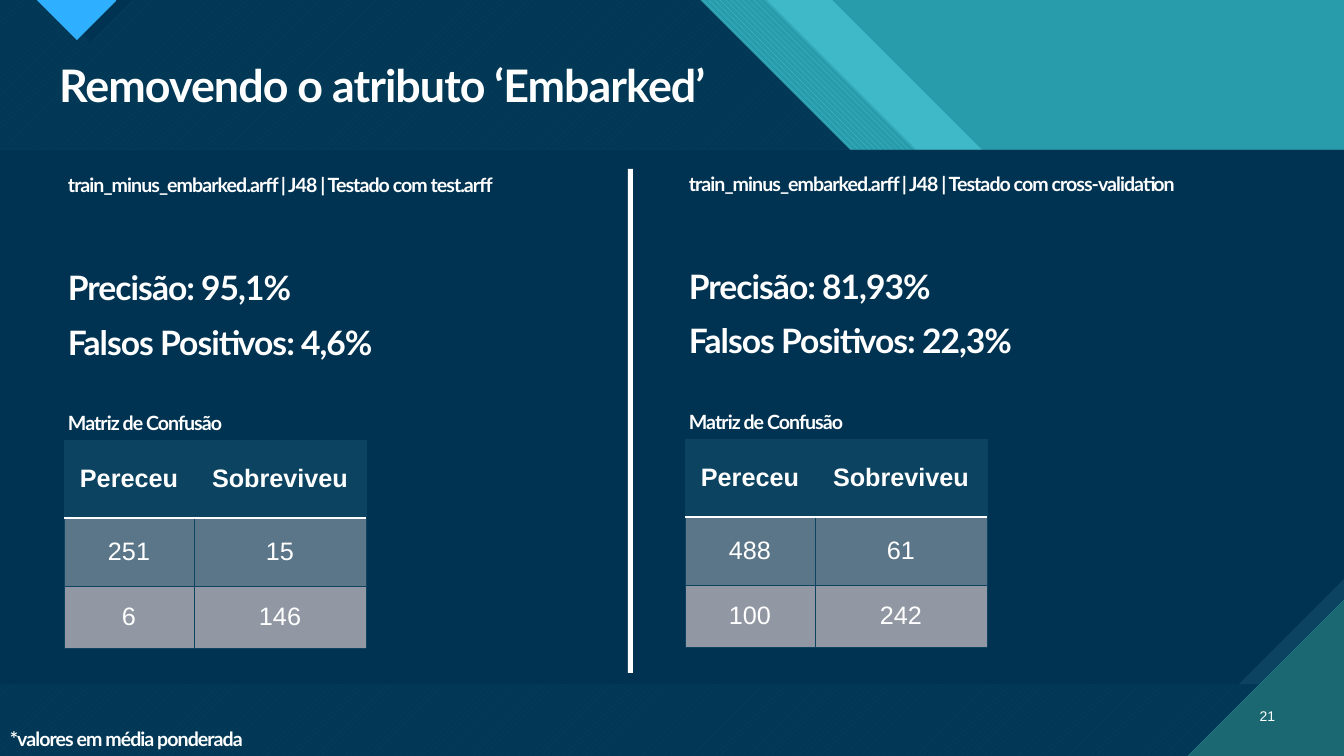
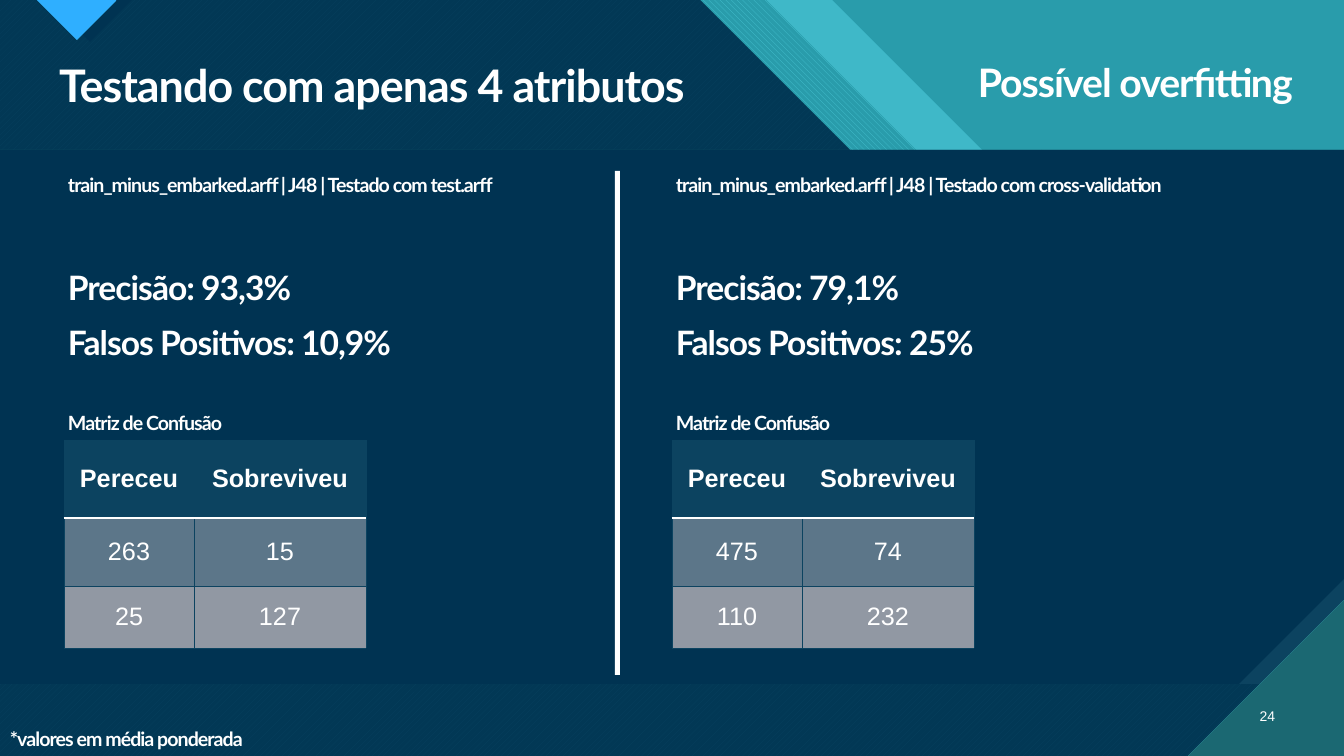
import dataclasses

import lxml.etree
import pptx
import pptx.dml.color
import pptx.enum.dml
import pptx.enum.shapes
import pptx.enum.text
import pptx.oxml.ns
import pptx.util

ALIGN = pptx.enum.text.PP_ALIGN
ANCHOR = pptx.enum.text.MSO_ANCHOR
PATTERN = pptx.enum.dml.MSO_PATTERN
qn = pptx.oxml.ns.qn
EMU_PER_PX = 914400 / 100.8


def px(length):
    return pptx.util.Emu(round(length * EMU_PER_PX))


def rgb(code):
    return pptx.dml.color.RGBColor.from_string(code)


@dataclasses.dataclass(frozen=True)
class Theme:
    # Colours
    white: str = "FFFFFF"
    navy: str = "003352"
    steel: str = "0C4360"
    teal: str = "299CAB"
    aqua: str = "47C3D3"
    pine: str = "1B6872"
    blue: str = "2FAFFF"
    row_fills: tuple = ("0C4360", "5C7689", "9198A3")
    # Type: size, font, bold, letter spacing in hundredths of a point
    title: tuple = (32, "Lato", True, -70)
    remark: tuple = (28, "Lato", True, -70)
    figure: tuple = (24, "Lato", True, -70)
    label: tuple = (14, "Lato", True, -70)
    head: tuple = (18, "Arial", True, 0)
    value: tuple = (18, "Arial", False, 0)
    number: tuple = (10, "Arial", False, 0)


THEME = Theme()
WIDTH, HEIGHT = 1344, 756


# Text
def write(frame, text, style, align=ALIGN.LEFT, spacing=0.9):
    size, name, bold, tracking = style
    para = frame.paragraphs[0]
    para.alignment = align
    para.line_spacing = spacing
    span = para.add_run()
    span.text = text
    values = {"size": pptx.util.Pt(size), "name": name, "bold": bold}
    for key, value in values.items():
        setattr(span.font, key, value)
    span.font.color.rgb = rgb(THEME.white)
    if tracking:
        span.font._element.set("spc", str(tracking))


def fit_frame(frame, anchor=ANCHOR.TOP):
    values = {"word_wrap": True, "vertical_anchor": anchor,
              "auto_size": pptx.enum.text.MSO_AUTO_SIZE.NONE}
    for key, value in values.items():
        setattr(frame, key, value)


def add_text(page, box, text, style, align=ALIGN.LEFT, anchor=ANCHOR.TOP):
    frame = page.shapes.add_textbox(*map(px, box)).text_frame
    fit_frame(frame, anchor)
    write(frame, text, style, align)


# Shapes
def paint(shape, color, pattern=None, ground=None, opacity=None):
    shape.shadow.inherit = False
    shape.line.fill.background()
    if pattern is None:
        shape.fill.solid()
    else:
        shape.fill.patterned()
        shape.fill.pattern = pattern
        shape.fill.back_color.rgb = rgb(ground)
    shape.fill.fore_color.rgb = rgb(color)
    if opacity:
        tint = shape.element.find(".//" + qn("a:srgbClr"))
        lxml.etree.SubElement(tint, qn("a:alpha")).set("val", str(opacity * 1000))


def add_outline(page, points, **look):
    builder = page.shapes.build_freeform(*points[0], scale=EMU_PER_PX)
    builder.add_line_segments(points[1:], close=True)
    shape = builder.convert_to_shape()
    paint(shape, **look)
    return shape


def add_block(page, box, **look):
    kind = pptx.enum.shapes.MSO_SHAPE.RECTANGLE
    shape = page.shapes.add_shape(kind, *map(px, box))
    paint(shape, **look)
    return shape


# Backdrop shared by every slide
def slope(edge):
    """Area left of a 45 degree edge that starts at the top of the page."""
    step = edge + 427
    return [(0, 0), (edge, 0), (edge + 300, 300), (step, 300),
            (WIDTH, 300 + WIDTH - step), (WIDTH, HEIGHT), (0, HEIGHT)]


def wedge(left, depth):
    return [(left, 0), (left + depth, depth), (left + 2 * depth, 0)]


def prepare_layout(layout, page):
    title_kind = pptx.enum.shapes.PP_PLACEHOLDER.TITLE
    for holder in list(layout.placeholders):
        if holder.placeholder_format.type != title_kind:
            layout.shapes.element.remove(holder.element)
    layout.background.fill.solid()
    layout.background.fill.fore_color.rgb = rgb(THEME.teal)

    top, bottom, snip, corner = 150, 684, 105, 156
    panel = [(0, top), (WIDTH, top), (WIDTH, bottom - snip),
             (WIDTH - snip, bottom), (0, bottom)]
    fold = [(WIDTH - corner, HEIGHT), (WIDTH, HEIGHT), (WIDTH, HEIGHT - corner)]
    parts = [
        # Slanted bands
        add_outline(page, slope(832), color=THEME.aqua, opacity=74),
        add_outline(page, slope(766), color=THEME.aqua, ground=THEME.teal,
                    pattern=PATTERN.WIDE_DOWNWARD_DIAGONAL),
        add_outline(page, slope(700), color=THEME.aqua, ground=THEME.pine,
                    pattern=PATTERN.WIDE_UPWARD_DIAGONAL),
        add_outline(page, slope(700), color=THEME.navy, opacity=90),
        # Marker at the top
        add_outline(page, wedge(48, 42), color=THEME.navy),
        add_outline(page, wedge(37, 40), color=THEME.blue, ground=THEME.pine,
                    pattern=PATTERN.DARK_HORIZONTAL),
        # Content panel and folded corner
        add_block(page, (0, top, WIDTH, bottom - top), color=THEME.steel,
                  ground=THEME.pine, pattern=PATTERN.DARK_VERTICAL),
        add_outline(page, panel, color=THEME.navy),
        add_outline(page, fold, color=THEME.pine, ground=THEME.aqua,
                    pattern=PATTERN.DARK_HORIZONTAL),
    ]
    for part in parts:
        layout.shapes.element.append(part.element)


# Confusion matrix
def add_border(properties, index, side, color, points):
    line = lxml.etree.Element(qn("a:" + side), w=str(pptx.util.Pt(points)))
    fill = lxml.etree.SubElement(line, qn("a:solidFill"))
    lxml.etree.SubElement(fill, qn("a:srgbClr")).set("val", color)
    properties.insert(index, line)


def add_matrix(page, left, top, counts):
    rows = [("Pereceu", "Sobreviveu"), *counts]
    widths, heights = (130, 172), (78, 68, 62)
    box = (left, top, sum(widths), sum(heights))
    frame = page.shapes.add_table(len(rows), len(widths), *map(px, box))
    table = frame.table
    table.horz_banding = False
    for column, width in zip(table.columns, widths):
        column.width = px(width)
    for index, (row, height, texts) in enumerate(zip(table.rows, heights, rows)):
        row.height = px(height)
        for cell, text in zip(row.cells, texts):
            cell.vertical_anchor = ANCHOR.MIDDLE
            cell.fill.solid()
            cell.fill.fore_color.rgb = rgb(THEME.row_fills[index])
            style = THEME.value if index else THEME.head
            write(cell.text_frame, str(text), style, ALIGN.CENTER, 1.0)
    # White rule under the header, thin steel lines elsewhere
    thin, rule = (THEME.steel, 0.5), (THEME.white, 1)
    for index, row in enumerate(frame.element.iter(qn("a:tr"))):
        sides = {"lnL": thin, "lnR": thin, "lnT": rule if index == 1 else thin,
                 "lnB": thin if index else rule}
        for properties in row.iter(qn("a:tcPr")):
            for place, (side, look) in enumerate(sides.items()):
                add_border(properties, place, side, *look)


# One test result, placed from its top left corner
def add_result(page, left, top, result):
    source, precision, false_positives, counts = result
    lines = [
        (0, 31, f"train_minus_embarked.arff | J48 | Testado com {source}", THEME.label),
        (95, 46, f"Precisão: {precision}", THEME.figure),
        (150, 46, f"Falsos Positivos: {false_positives}", THEME.figure),
        (238, 31, "Matriz de Confusão", THEME.label),
    ]
    for offset, height, text, style in lines:
        add_text(page, (left, top + offset, 605, height), text, style)
    add_matrix(page, left + 6, top + 269, counts)


def build_comparison(page, content):
    # Title and side remark
    title = page.shapes.title
    for key, value in zip(("left", "top", "width", "height"), (49, 59, 1236, 60)):
        setattr(title, key, px(value))
    fit_frame(title.text_frame)
    write(title.text_frame, content["title"], THEME.title)
    if "remark" in content:
        add_text(page, (968, 59, 371, 53), content["remark"], THEME.remark)
    # Results on both sides of the divider
    add_block(page, (*content["divider"], 5, 504), color=THEME.white)
    for corner, result in zip(content["corners"], content["results"]):
        add_result(page, *corner, result)
    # Footer
    add_text(page, (0, 725, 467, 31), "*valores em média ponderada", THEME.label)
    add_text(page, (1241, 697, 44, 40), content["number"], THEME.number,
             ALIGN.RIGHT, ANCHOR.MIDDLE)


SLIDES = [
    {"title": "Removendo o atributo ‘Embarked’", "number": "21",
     "divider": (628, 169), "corners": [(58, 171), (679, 170)],
     "results": [
         ("test.arff", "95,1%", "4,6%", [(251, 15), (6, 146)]),
         ("cross-validation", "81,93%", "22,3%", [(488, 61), (100, 242)])]},
    {"title": "Testando com apenas 4 atributos", "number": "24",
     "remark": "Possível overfitting",
     "divider": (615, 171), "corners": [(58, 171), (666, 171)],
     "results": [
         ("test.arff", "93,3%", "10,9%", [(263, 15), (25, 127)]),
         ("cross-validation", "79,1%", "25%", [(475, 74), (110, 232)])]},
]


def main():
    deck = pptx.Presentation()
    deck.slide_width, deck.slide_height = px(WIDTH), px(HEIGHT)
    layout = deck.slide_layouts[5]
    pages = [deck.slides.add_slide(layout) for _ in SLIDES]
    prepare_layout(layout, pages[0])
    for page, content in zip(pages, SLIDES):
        build_comparison(page, content)
    deck.save("out.pptx")


if __name__ == "__main__":
    main()
